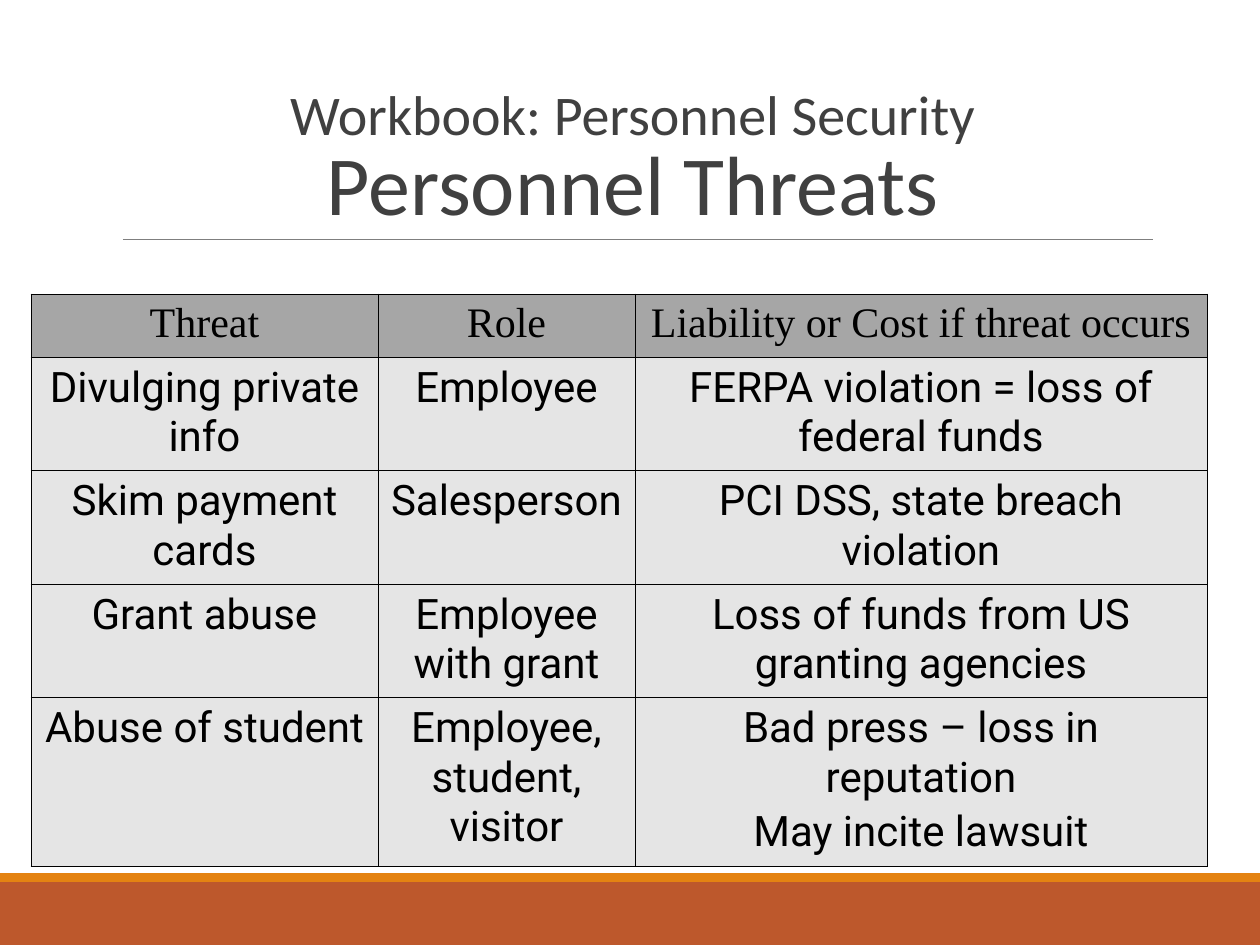
from lxml.etree import SubElement
from pptx import Presentation
from pptx.dml.color import RGBColor
from pptx.enum.shapes import MSO_CONNECTOR, MSO_SHAPE
from pptx.enum.text import MSO_ANCHOR as ANCHOR, PP_ALIGN as ALIGN
from pptx.oxml.ns import qn
from pptx.util import Emu, Pt

PX_PER_INCH = 126
SLIDE_W, SLIDE_H = 1260, 945
COL_WIDTHS = (347, 257, 572)
ROW_HEIGHTS = (61, 111, 111, 112, 166)
THREATS = (
    ("Threat", "Role", "Liability or Cost if threat occurs"),
    ("Divulging private info", "Employee", "FERPA violation = loss of federal funds"),
    ("Skim payment cards", "Salesperson", "PCI DSS, state breach violation"),
    ("Grant abuse", "Employee with grant", "Loss of funds from US granting agencies"),
    ("Abuse of student", "Employee, student, visitor",
     "Bad press – loss in reputation\nMay incite lawsuit"),
)


def px(n):
    """Turn pixels into EMU."""
    return Emu(round(n * 914400 / PX_PER_INCH))


def color(value):
    """Turn a hex string into a colour."""
    return RGBColor.from_string(value)


def add_text(p, text, size, font, fill="000000"):
    """Add one formatted, centred run to a paragraph."""
    p.alignment = ALIGN.CENTER
    r = p.add_run()
    r.text = text
    r.font.size = Pt(size)
    r.font.name = font
    r.font.color.rgb = color(fill)


def add_bar(slide, x, y, w, h, fill):
    """Draw a plain filled bar."""
    sp = slide.shapes.add_shape(MSO_SHAPE.RECTANGLE, px(x), px(y), px(w), px(h))
    sp.shadow.inherit = False
    sp.fill.solid()
    sp.fill.fore_color.rgb = color(fill)
    sp.line.fill.background()


def add_footer(slide, x, y, w, h):
    """Draw the two-tone band at the foot of the slide."""
    stripe = 9
    add_bar(slide, x, y + stripe, w, h - stripe, "BD582C")
    add_bar(slide, x, y, w, stripe, "E48312")


def add_title(slide, x, y, w, h):
    """Write the two-line title with the rule beneath it."""
    rule = slide.shapes.add_connector(
        MSO_CONNECTOR.STRAIGHT, px(x + 10), px(y + h), px(x + w), px(y + h))
    rule.line.color.rgb = color("7F7F7F")
    rule.line.width = Pt(0.5)
    SubElement(rule._element.spPr, qn("a:effectLst"))

    tf = slide.shapes.add_textbox(px(x), px(y), px(w), px(h)).text_frame
    tf.word_wrap = True
    tf.vertical_anchor = ANCHOR.BOTTOM
    p = tf.paragraphs[0]
    p.line_spacing = 0.85
    add_text(p, "Workbook: Personnel Security", 32, "Calibri", "404040")
    p.add_line_break()
    add_text(p, "Personnel Threats", 48, "Calibri", "404040")


def set_borders(cell, fill="000000", width=0.45):
    """Give a cell a thin line on all four sides."""
    tc_pr = cell._tc.get_or_add_tcPr()
    for i, side in enumerate(("lnL", "lnR", "lnT", "lnB")):
        ln = tc_pr.makeelement(qn(f"a:{side}"), {"w": str(Pt(width))})
        solid = SubElement(ln, qn("a:solidFill"))
        SubElement(solid, qn("a:srgbClr"), val=fill)
        tc_pr.insert(i, ln)


def fill_cell(cell, text, font, fill):
    """Fill a cell and write one paragraph for each line of text."""
    cell.fill.solid()
    cell.fill.fore_color.rgb = color(fill)
    set_borders(cell)
    tf = cell.text_frame
    for i, line in enumerate(text.split("\n")):
        p = tf.add_paragraph() if i else tf.paragraphs[0]
        p.space_before = Pt(3)
        add_text(p, line, 24, font)


def add_threat_table(slide, x, y):
    """Build the table of threats, roles and costs."""
    table = slide.shapes.add_table(
        len(ROW_HEIGHTS), len(COL_WIDTHS), px(x), px(y),
        px(sum(COL_WIDTHS)), px(sum(ROW_HEIGHTS))).table
    for col, width in zip(table.columns, COL_WIDTHS):
        col.width = px(width)
    for i, (row, height) in enumerate(zip(table.rows, ROW_HEIGHTS)):
        row.height = px(height)
        font, fill = ("Roboto", "E5E5E5") if i else ("Times New Roman", "A6A6A6")
        for cell, text in zip(row.cells, THREATS[i]):
            fill_cell(cell, text, font, fill)


def main():
    """Build the slide and save it."""
    prs = Presentation()
    prs.slide_width, prs.slide_height = px(SLIDE_W), px(SLIDE_H)
    slide = prs.slides.add_slide(prs.slide_layouts[6])
    add_footer(slide, 0, 873, SLIDE_W, SLIDE_H - 873)
    add_title(slide, 113, 39, 1040, 200)
    add_threat_table(slide, 31, 294)
    prs.save("out.pptx")


if __name__ == "__main__":
    main()
